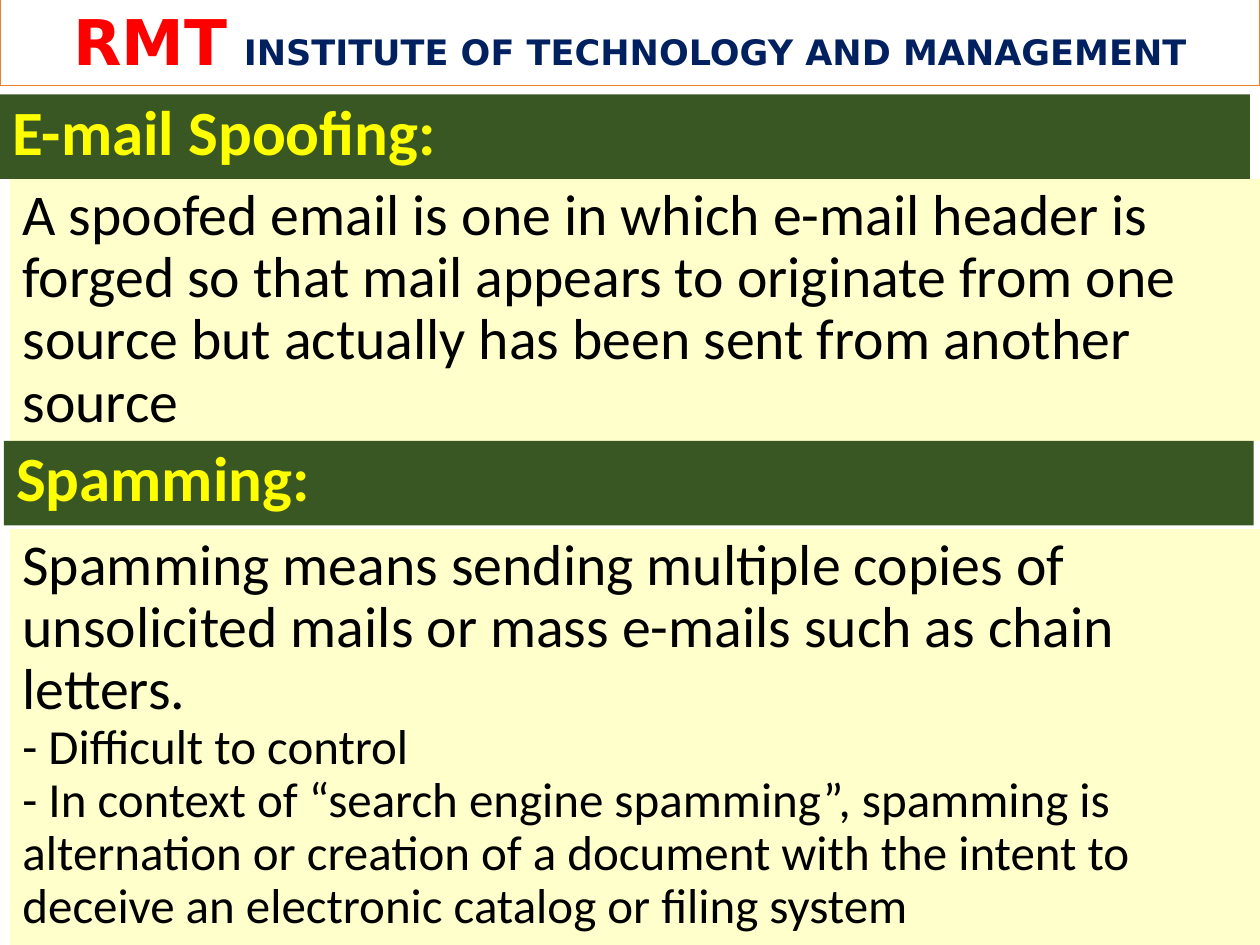
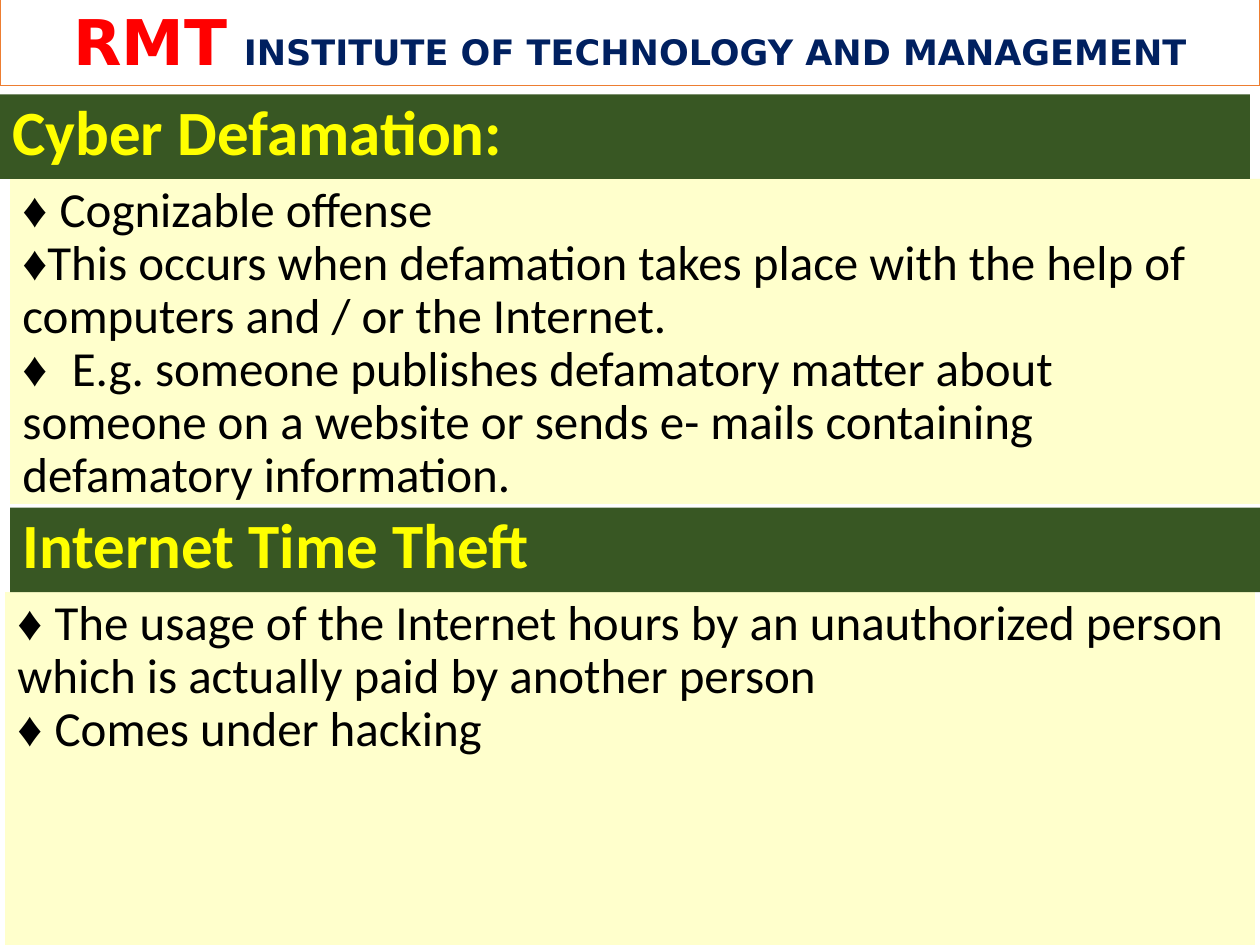
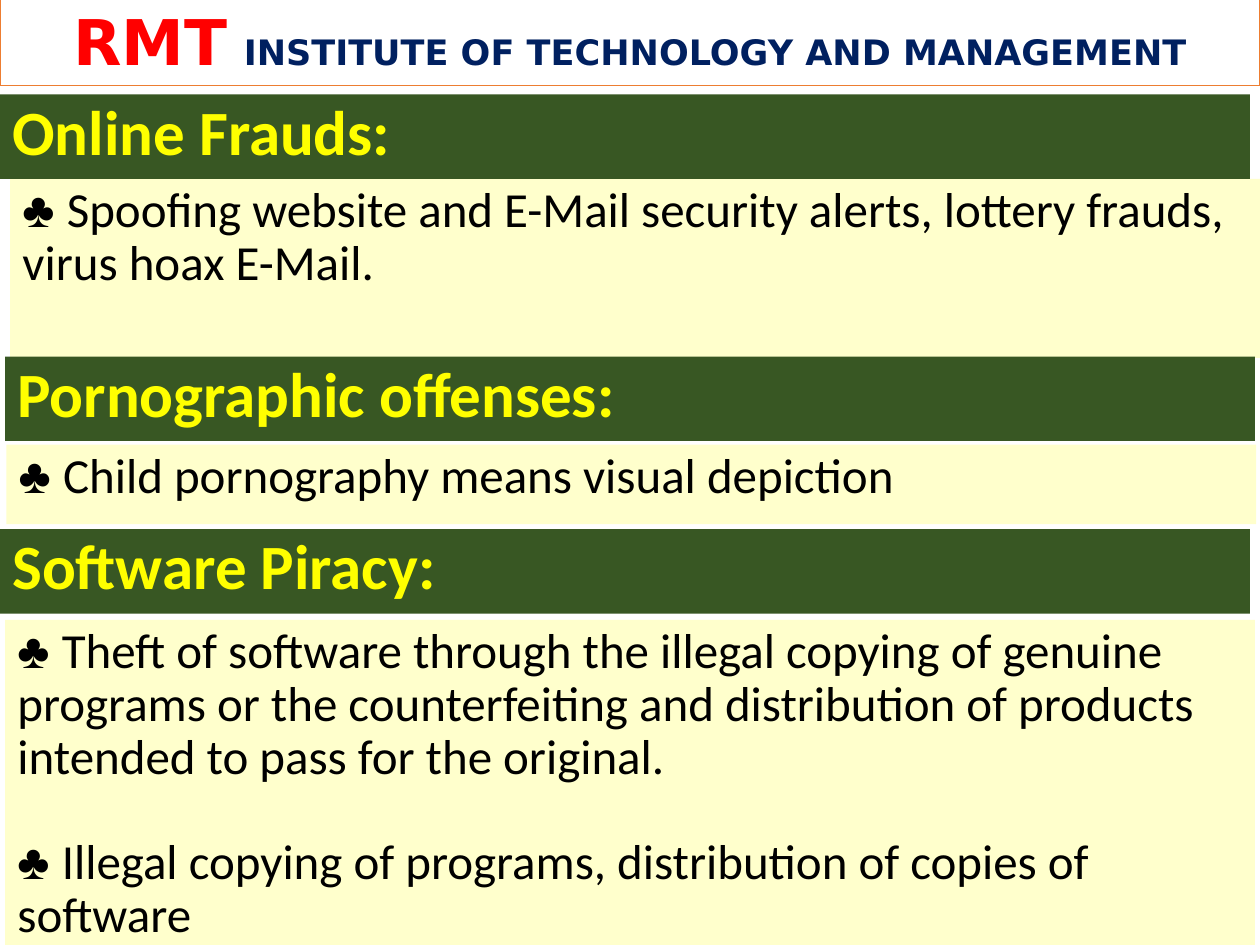
from lxml import etree
from pptx import Presentation
from pptx.dml.color import RGBColor
from pptx.enum.shapes import MSO_SHAPE
from pptx.enum.text import MSO_ANCHOR, PP_ALIGN
from pptx.oxml.ns import qn
from pptx.util import Emu, Pt

RECT = MSO_SHAPE.RECTANGLE
TOP = MSO_ANCHOR.TOP
LEFT, CENTER = PP_ALIGN.LEFT, PP_ALIGN.CENTER

PX = 9144  # 100 px to the inch
WIDTH, HEIGHT = 1000, 750
BAND_W, BAND_H = 992, 67

WHITE, ORANGE, RED, NAVY = "FFFFFF", "ED7D31", "FF0000", "002060"
GREEN, YELLOW, CREAM, BLACK = "385723", "FFFF00", "FFFFCC", "000000"
GLOW = "5093CF"
BODY_FONT, MARK_FONT, BANNER_FONT = "Calibri", "Times New Roman", "DejaVu Sans"
MARKS = "♦♣ "


def add_box(s, x, y, w, h, fill):
    sp = s.shapes.add_shape(RECT, x * PX, y * PX, w * PX, h * PX)
    sp.shadow.inherit = False
    sp.fill.solid()
    sp.fill.fore_color.rgb = RGBColor.from_string(fill)
    sp.line.fill.background()
    sp.text_frame.word_wrap = True
    sp.text_frame.vertical_anchor = TOP
    return sp


def add_run(p, text, size, font, color, bold=False):
    r = p.add_run()
    r.text = text
    r.font.size = Pt(size)
    r.font.name = font
    r.font.bold = bold
    r.font.color.rgb = RGBColor.from_string(color)
    return r


# Banner wording: text, size, colour
BANNER = [
    ("RMT", 36, RED),
    (" ", 27, RED),
    ("INSTITUTE OF TECHNOLOGY AND MANAGEMENT", 20, NAVY),
]

# Each section: heading, heading x and y, body x, y and height,
# then paragraphs as (text, size, space before)
SLIDES = [
    [
        ("E-mail Spoofing:", 0, 75, 8, 142, 208, [
            ("A spoofed email is one in which e-mail header is forged so that "
             "mail appears to originate from one source but actually has been "
             "sent from another source", 33, 0),
        ]),
        ("Spamming:", 3, 350, 8, 420, 330, [
            ("Spamming means sending multiple copies of unsolicited mails or "
             "mass e-mails such as chain letters.", 33, 0),
            ("- Difficult to control", 28, 0),
            ("- In context of “search engine spamming”, spamming is "
             "alternation or creation of a document with the intent to deceive "
             "an electronic catalog or filing system", 28, 0),
        ]),
    ],
    [
        ("Cyber Defamation:", 0, 75, 8, 142, 258, [
            ("♦ Cognizable offense", 28, 0),
            ("♦This occurs when defamation takes place with the help of "
             "computers and / or the Internet.", 28, 0),
            ("♦  E.g. someone publishes defamatory matter about someone on a "
             "website or sends e- mails containing defamatory information.",
             28, 0),
        ]),
        ("Internet Time Theft", 8, 403, 4, 470, 280, [
            ("♦ The usage of the Internet hours by an unauthorized person "
             "which is actually paid by another person", 28, 0),
            ("♦ Comes under hacking", 28, 0),
        ]),
    ],
    [
        ("Online Frauds:", 0, 75, 8, 142, 142, [
            ("♣ Spoofing website and E-Mail security alerts, lottery frauds, "
             "virus hoax E-Mail.", 28, 0),
        ]),
        ("Pornographic offenses:", 4, 283, 5, 353, 63, [
            ("♣ Child pornography means visual depiction", 28, 0),
        ]),
        ("Software Piracy:", 0, 420, 4, 492, 258, [
            ("♣ Theft of software through the illegal copying of genuine "
             "programs or the counterfeiting and distribution of products "
             "intended to pass for the original.", 28, 0),
            ("♣ Illegal copying of programs, distribution of copies of "
             "software", 28, 30),
        ]),
    ],
]

prs = Presentation()
prs.slide_width, prs.slide_height = Emu(WIDTH * PX), Emu(HEIGHT * PX)

for sections in SLIDES:
    s = prs.slides.add_slide(prs.slide_layouts[6])

    # Institute banner
    sp = add_box(s, 0, -3, WIDTH, 71, WHITE)
    sp.line.color.rgb = RGBColor.from_string(ORANGE)
    sp.line.width = Pt(1)
    p = sp.text_frame.paragraphs[0]
    p.alignment = CENTER
    p.space_after = Pt(2)
    for text, size, color in BANNER:
        r = add_run(p, text, size, BANNER_FONT, color, True)
        ln = etree.Element(qn("a:ln"), w="10541")
        fill = etree.SubElement(ln, qn("a:solidFill"))
        etree.SubElement(fill, qn("a:srgbClr"), val=GLOW)
        r.font._element.insert(0, ln)

    for heading, head_x, head_y, body_x, body_y, body_h, paragraphs in sections:
        # Body panel
        tf = add_box(s, body_x, body_y, BAND_W, body_h, CREAM).text_frame
        for i, (text, size, before) in enumerate(paragraphs):
            p = tf.add_paragraph() if i else tf.paragraphs[0]
            p.alignment = LEFT
            p.line_spacing = 0.9
            p.space_before = Pt(before)
            words = text.lstrip(MARKS)
            mark = text[:len(text) - len(words)]
            if mark:
                add_run(p, mark, size, MARK_FONT, BLACK)
            add_run(p, words, size, BODY_FONT, BLACK)

        # Heading band
        p = add_box(s, head_x, head_y, BAND_W, BAND_H, GREEN).text_frame.paragraphs[0]
        p.alignment = LEFT
        p.line_spacing = 0.9
        add_run(p, heading, 36, BODY_FONT, YELLOW, True)

prs.save("out.pptx")
